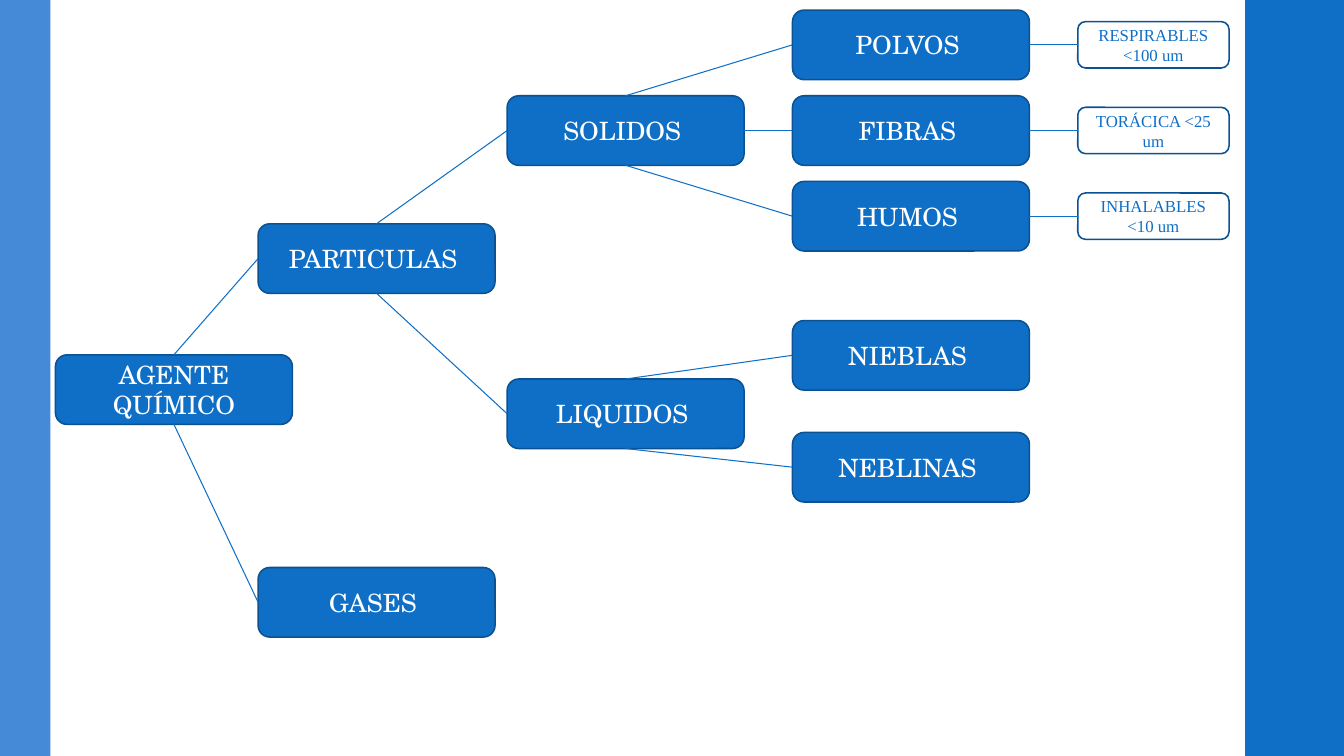
from lxml.etree import SubElement
from pptx import Presentation
from pptx.dml.color import RGBColor
from pptx.enum.shapes import MSO_CONNECTOR, MSO_SHAPE
from pptx.enum.text import MSO_ANCHOR, PP_ALIGN
from pptx.oxml.ns import qn
from pptx.util import Inches, Pt

COLORS = {"blue": "0F6FC6", "light": "448AD7", "edge": "0B5292", "white": "FFFFFF"}
WIDTH, HEIGHT = 13.33, 7.5
NODE_W, NODE_H = 2.35, 0.69
NOTE_W, NOTE_H = 1.5, 0.46
COLUMNS = [0.55, 2.56, 5.03, 7.86]  # left edge of each tree level
NOTE_LEFT = 10.69
TOP, LEFT, BOTTOM, RIGHT = range(4)  # connection sites of a box

# name: (level, top, parent, site on the parent)
TREE = {
    "AGENTE QUÍMICO": (0, 3.52, None, None),
    "PARTICULAS ": (1, 2.22, "AGENTE QUÍMICO", TOP),
    "GASES ": (1, 5.63, "AGENTE QUÍMICO", BOTTOM),
    "SOLIDOS ": (2, 0.95, "PARTICULAS ", TOP),
    "LIQUIDOS ": (2, 3.76, "PARTICULAS ", BOTTOM),
    "POLVOS ": (3, 0.1, "SOLIDOS ", TOP),
    "FIBRAS ": (3, 0.95, "SOLIDOS ", RIGHT),
    "HUMOS ": (3, 1.8, "SOLIDOS ", BOTTOM),
    "NIEBLAS ": (3, 3.18, "LIQUIDOS ", TOP),
    "NEBLINAS ": (3, 4.29, "LIQUIDOS ", BOTTOM),
}
SIZE_NOTES = {
    "POLVOS ": "RESPIRABLES <100 um",
    "FIBRAS ": "TORÁCICA <25 um",
    "HUMOS ": "INHALABLES <10 um",
}


def color(name):
    return RGBColor.from_string(COLORS[name])


def add_box(slide, kind, box, fill=None, edge=None):
    shape = slide.shapes.add_shape(kind, *map(Inches, box))
    shape.shadow.inherit = False
    if fill:
        shape.fill.solid()
        shape.fill.fore_color.rgb = color(fill)
    else:
        shape.fill.background()
    if edge:
        shape.line.color.rgb = color(edge)
        shape.line.width = Pt(1.1)
    else:
        shape.line.fill.background()
    return shape


def add_label(slide, box, text, fill, ink, font, size):
    label = add_box(slide, MSO_SHAPE.ROUNDED_RECTANGLE, box, fill, "edge")
    frame = label.text_frame
    frame.word_wrap = True
    frame.vertical_anchor = MSO_ANCHOR.MIDDLE
    frame.text = text
    paragraph = frame.paragraphs[0]
    paragraph.alignment = PP_ALIGN.CENTER
    paragraph.font.name = font
    paragraph.font.size = Pt(size)
    paragraph.font.color.rgb = color(ink)
    return label


def add_link(slide, parent, site, child):
    link = slide.shapes.add_connector(MSO_CONNECTOR.STRAIGHT, 0, 0, 0, 0)
    link.begin_connect(parent, site)
    link.end_connect(child, LEFT)
    link.line.color.rgb = color("blue")
    link.line.width = Pt(0.75)
    SubElement(link._element.spPr, qn("a:effectLst"))


def add_side_bands(slide):
    add_box(slide, MSO_SHAPE.RECTANGLE, (WIDTH - 0.98, 0, 0.98, HEIGHT), "blue")
    add_box(slide, MSO_SHAPE.RECTANGLE, (0, 0, 0.5, HEIGHT), "light")


def add_tree(slide):
    nodes = {}
    for name, (level, top, parent, site) in TREE.items():
        box = (COLUMNS[level], top, NODE_W, NODE_H)
        nodes[name] = add_label(slide, box, name, "blue", "white", "TeX Gyre Schola", 18)
        if parent:
            add_link(slide, nodes[parent], site, nodes[name])
    return nodes


def add_size_notes(slide, nodes):
    for name, text in SIZE_NOTES.items():
        top = TREE[name][1] + (NODE_H - NOTE_H) / 2
        box = (NOTE_LEFT, top, NOTE_W, NOTE_H)
        note = add_label(slide, box, text, None, "blue", "Times New Roman", 12)
        add_link(slide, nodes[name], RIGHT, note)


def main():
    deck = Presentation()
    deck.slide_width, deck.slide_height = Inches(WIDTH), Inches(HEIGHT)
    slide = deck.slides.add_slide(deck.slide_layouts[6])
    add_side_bands(slide)
    nodes = add_tree(slide)
    add_size_notes(slide, nodes)
    deck.save("out.pptx")


if __name__ == "__main__":
    main()
